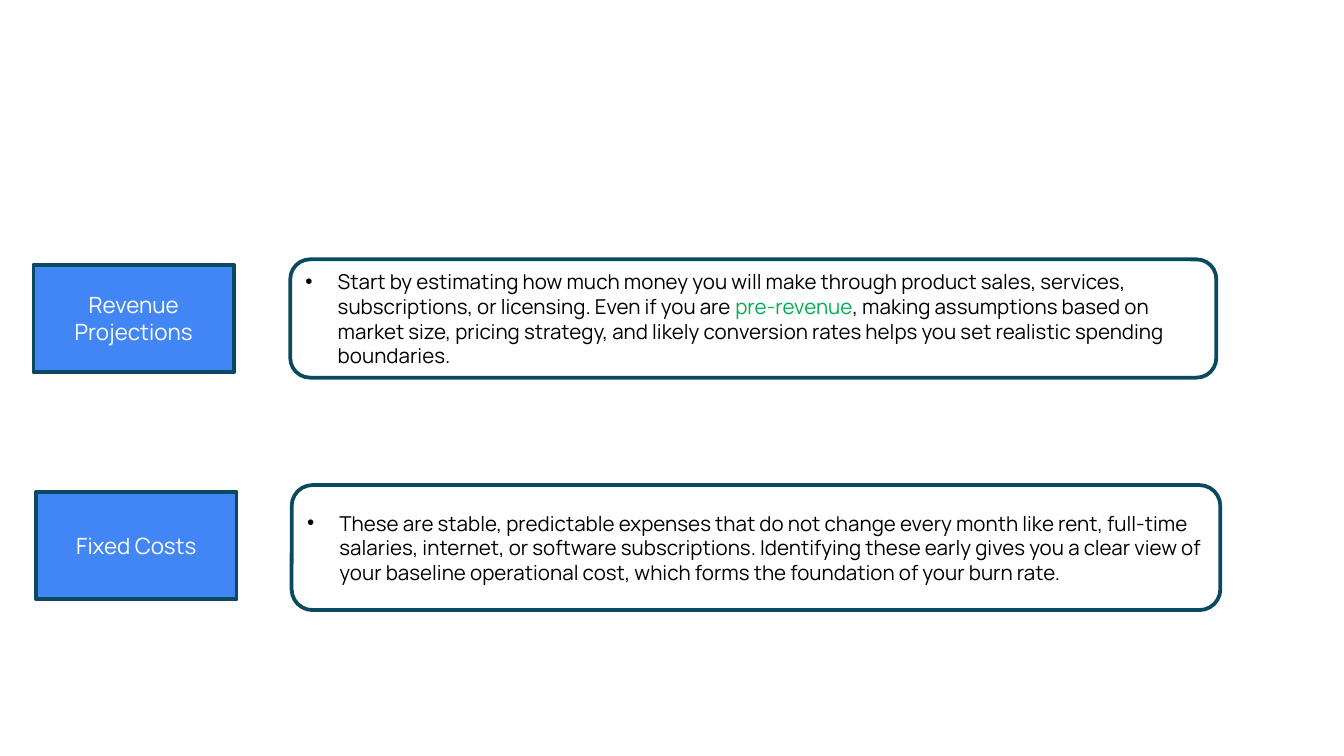
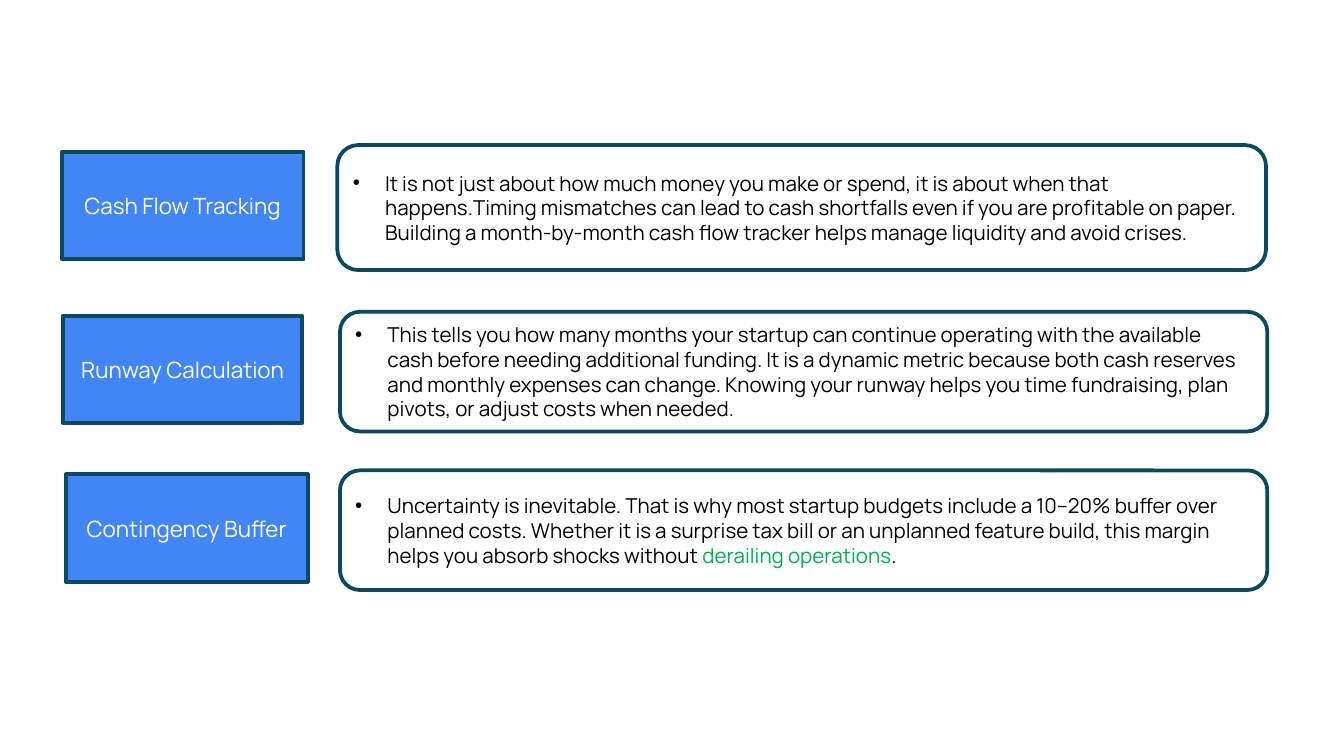
import pptx
import pptx.util
import pptx.oxml.ns
import pptx.dml.color
import pptx.enum.shapes
import pptx.enum.text
import lxml.etree

Inches = pptx.util.Inches
Shape = pptx.enum.shapes.MSO_SHAPE
Align = pptx.enum.text.PP_ALIGN
qn = pptx.oxml.ns.qn

theme = {
    "font": "Manrope",
    "blue": "4285F4",
    "edge": "0B4960",
    "white": "FFFFFF",
    "black": "000000",
    "green": "00B050",
    "label": 12,
    "body": 11,
    "line": 2,
}
frame = {
    "margin_left": Inches(0.07),
    "margin_right": Inches(0.07),
    "margin_top": Inches(0.04),
    "margin_bottom": Inches(0.04),
    "vertical_anchor": pptx.enum.text.MSO_ANCHOR.MIDDLE,
    "word_wrap": True,
}
tall = 0.8

pages = [
    [
        ("Revenue Projections", (0.25, 1.97, 1.49), (2.16, 1.93, 6.89, 0.88), [
            ("Start by estimating how much money you will make through product sales, "
             "services, subscriptions, or licensing. Even if you are ", "black"),
            ("pre-revenue", "green"),
            (", making assumptions based on market size, pricing strategy, and likely "
             "conversion rates helps you set realistic spending boundaries.", "black"),
        ]),
        ("Fixed Costs", (0.27, 3.66, 1.49), (2.17, 3.61, 6.91, 0.93), [
            ("These are stable, predictable expenses that do not change every month like "
             "rent, full-time salaries, internet, or software subscriptions. Identifying "
             "these early gives you a clear view of your baseline operational cost, which "
             "forms the foundation of your burn rate.", "black"),
        ]),
    ],
    [
        ("Cash Flow Tracking", (0.46, 1.13, 1.8), (2.51, 1.08, 6.91, 0.93), [
            ("It is not just about how much money you make or spend, it is about when that "
             "happens.Timing mismatches can lead to cash shortfalls even if you are "
             "profitable on paper. Building a month-by-month cash flow tracker helps manage "
             "liquidity and avoid crises.", "black"),
        ]),
        ("Runway Calculation", (0.47, 2.35, 1.78), (2.53, 2.32, 6.9, 0.89), [
            ("This tells you how many months your startup can continue operating with the "
             "available cash before needing additional funding. It is a dynamic metric "
             "because both cash reserves and monthly expenses can change. Knowing your "
             "runway helps you time fundraising, plan pivots, or adjust costs when needed.",
             "black"),
        ]),
        ("Contingency Buffer", (0.49, 3.53, 1.8), (2.53, 3.5, 6.9, 0.89), [
            ("Uncertainty is inevitable. That is why most startup budgets include a 10–20% "
             "buffer over planned costs. Whether it is a surprise tax bill or an unplanned "
             "feature build, this margin helps you absorb shocks without ", "black"),
            ("derailing operations", "green"),
            (".", "black"),
        ]),
    ],
]


def tint(name):
    return pptx.dml.color.RGBColor.from_string(theme[name])


def box(slide, kind, place, fill, size, align, runs):
    shape = slide.shapes.add_shape(kind, *map(Inches, place))
    shape.shadow.inherit = False
    shape.fill.solid()
    shape.fill.fore_color.rgb = tint(fill)
    shape.line.color.rgb = tint("edge")
    shape.line.width = pptx.util.Pt(theme["line"])
    for key, value in frame.items():
        setattr(shape.text_frame, key, value)
    para = shape.text_frame.paragraphs[0]
    para.alignment = align
    for text, color in runs:
        run = para.add_run()
        run.text = text
        style = {"name": theme["font"], "size": pptx.util.Pt(theme[size])}
        for key, value in style.items():
            setattr(run.font, key, value)
        run.font.color.rgb = tint(color)
    return para


deck = pptx.Presentation()
deck.slide_width = Inches(10)
deck.slide_height = deck.slide_width * 9 // 16

for rows in pages:
    slide = deck.slides.add_slide(deck.slide_layouts[6])
    for label, left, right, runs in rows:
        box(slide, Shape.RECTANGLE, (*left, tall), "blue", "label", Align.CENTER,
            [(label, "white")])
        para = box(slide, Shape.ROUNDED_RECTANGLE, right, "white", "body", Align.LEFT, runs)
        props = para._p.get_or_add_pPr()
        props.set("marL", str(Inches(0.24)))
        props.set("indent", str(Inches(-0.24)))
        ink = lxml.etree.SubElement(props, qn("a:buClr"))
        lxml.etree.SubElement(ink, qn("a:srgbClr"), val=theme["black"])
        lxml.etree.SubElement(props, qn("a:buFont"), typeface="Arial")
        lxml.etree.SubElement(props, qn("a:buChar"), char="•")

deck.save("out.pptx")
